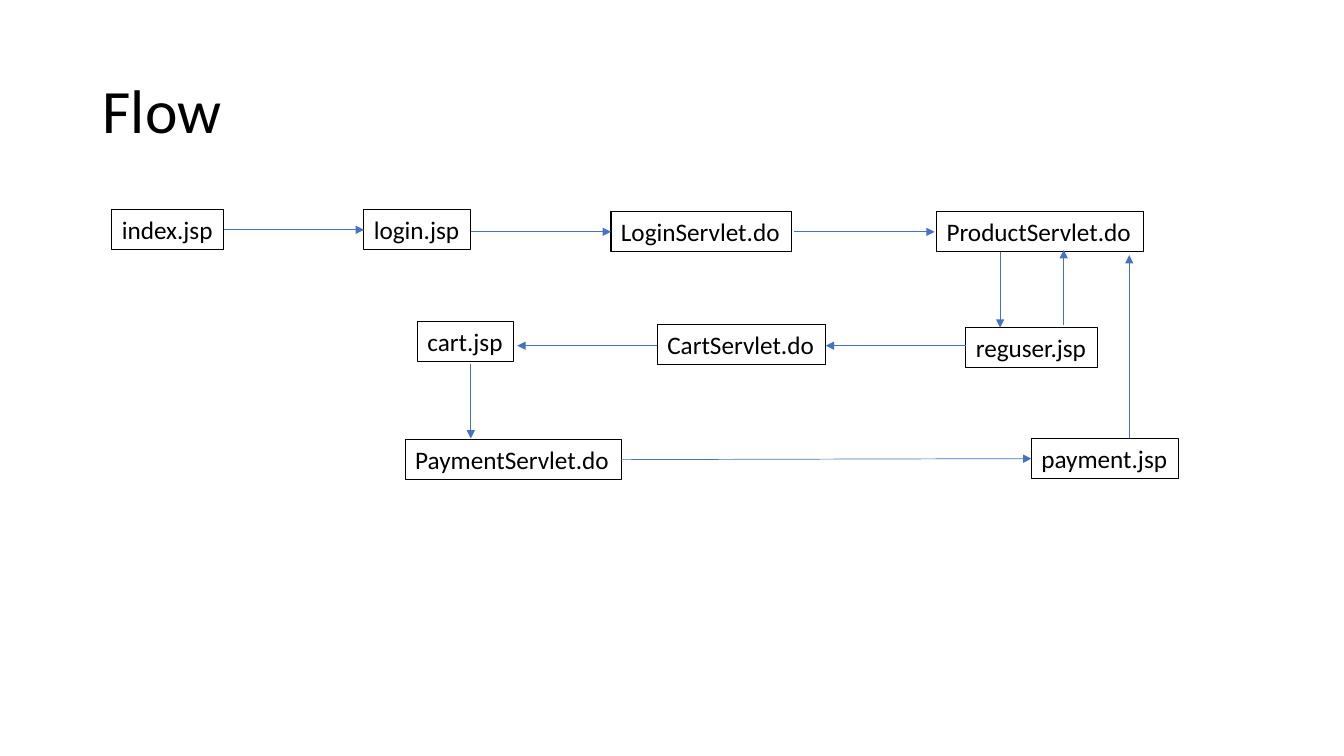
from lxml import etree
from pptx import Presentation
from pptx.dml.color import RGBColor
from pptx.enum import shapes, text
from pptx.oxml import ns
from pptx.util import Inches, Pt

BLACK = RGBColor(0x00, 0x00, 0x00)
BLUE = RGBColor(0x44, 0x72, 0xC4)
FONT = "Calibri"
BOX_HEIGHT = 0.4

PAGES = [
    ("index.jsp", 1.11, 2.08, 1.11),
    ("login.jsp", 3.61, 2.08, 1.06),
    ("LoginServlet.do", 6.06, 2.1, 1.79),
    ("ProductServlet.do", 9.29, 2.1, 2.05),
    ("reguser.jsp", 9.58, 3.25, 1.31),
    ("CartServlet.do", 6.52, 3.22, 1.67),
    ("cart.jsp", 4.14, 3.19, 0.95),
    ("PaymentServlet.do", 4.02, 4.36, 2.14),
    ("payment.jsp", 10.23, 4.35, 1.46),
]
ARROWS = [
    (2.22, 2.28, 3.61, 2.28),
    (4.67, 2.3, 6.06, 2.3),
    (7.88, 2.3, 9.27, 2.3),
    (9.92, 2.5, 9.92, 3.25),
    (10.55, 3.22, 10.55, 2.48),
    (9.58, 3.43, 8.19, 3.43),
    (6.52, 3.43, 5.13, 3.43),
    (4.67, 3.61, 4.67, 4.35),
    (6.16, 4.56, 10.23, 4.55),
    (11.2, 4.35, 11.2, 2.53),
]


class FlowSlide:
    """Draws the flow diagram's elements on one slide in a shared style."""

    def __init__(self, slide):
        self.shapes = slide.shapes

    def label(self, words, left, top, width, height, size):
        sp = self.shapes.add_textbox(*map(Inches, (left, top, width, height)))
        p = sp.text_frame.paragraphs[0]
        p.text = words
        p.font.name = FONT
        p.font.size = Pt(size)
        p.font.color.rgb = BLACK
        return sp

    def title(self, words):
        tf = self.label(words, 0.92, 0.4, 11.5, 1.45, 44).text_frame
        tf.word_wrap = True
        tf.vertical_anchor = text.MSO_ANCHOR.MIDDLE
        tf.paragraphs[0].line_spacing = 0.9

    def page(self, name, left, top, width):
        sp = self.label(name, left, top, width, BOX_HEIGHT, 18)
        sp.text_frame.word_wrap = False
        sp.text_frame.auto_size = text.MSO_AUTO_SIZE.SHAPE_TO_FIT_TEXT
        sp.line.color.rgb = BLACK
        sp.line.width = Pt(0.75)

    def arrow(self, *ends):
        line = self.shapes.add_connector(
            shapes.MSO_CONNECTOR.STRAIGHT, *map(Inches, ends))
        line.line.color.rgb = BLUE
        line.line.width = Pt(0.5)
        props = line.element.spPr
        etree.SubElement(props.find(ns.qn("a:ln")), ns.qn("a:tailEnd"), type="triangle")
        etree.SubElement(props, ns.qn("a:effectLst"))


prs = Presentation()
prs.slide_width, prs.slide_height = Inches(13.33), Inches(7.5)
flow = FlowSlide(prs.slides.add_slide(prs.slide_layouts[6]))
flow.title("Flow")
for page in PAGES:
    flow.page(*page)
for arrow in ARROWS:
    flow.arrow(*arrow)
prs.save("out.pptx")
